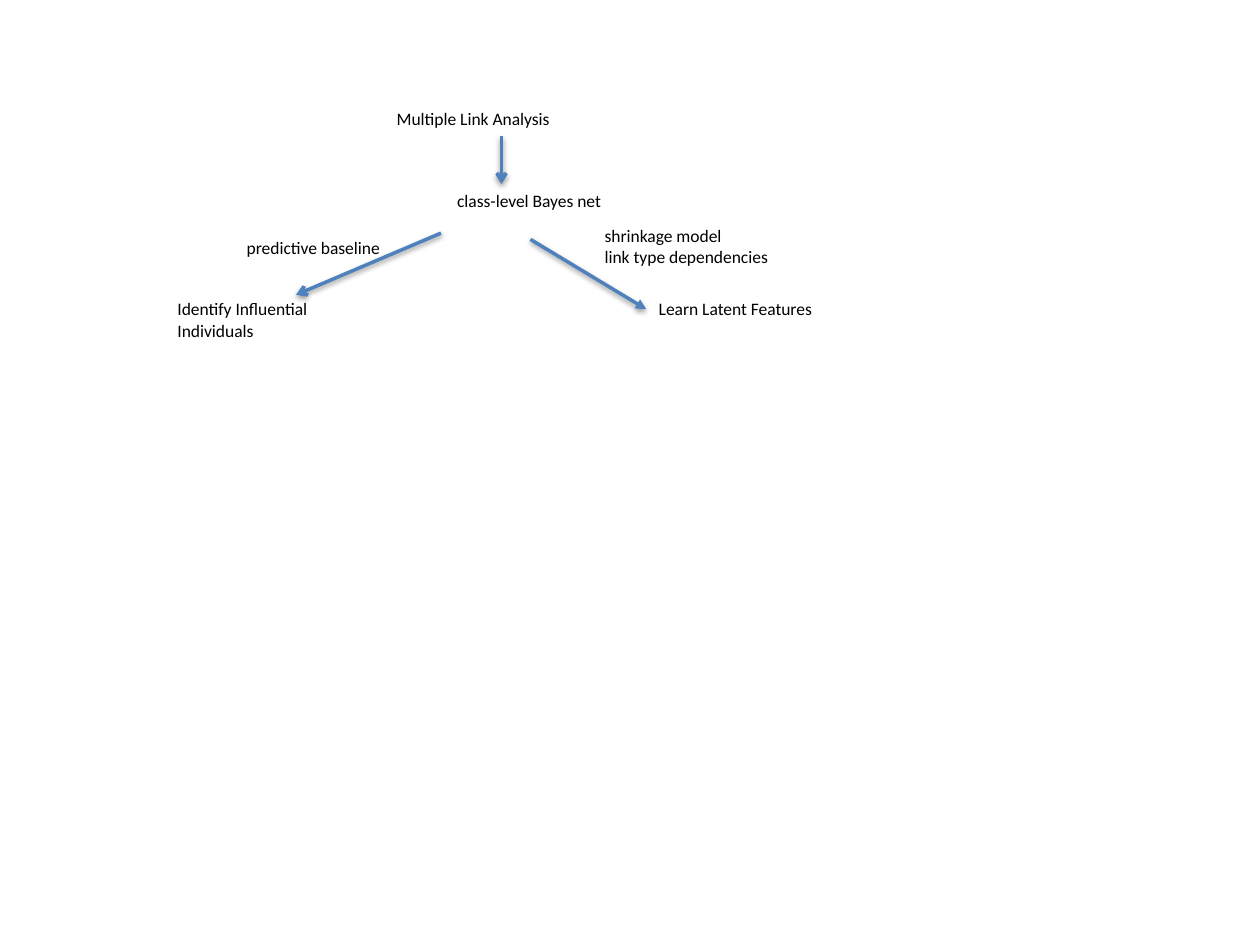
"""Build the slide that links multiple link analysis to its two applications."""
import dataclasses

import lxml.etree
import pptx
import pptx.dml.color
import pptx.enum.shapes
import pptx.enum.text
import pptx.oxml.ns
import pptx.util


@dataclasses.dataclass(frozen=True)
class Theme:
    font: str = "Calibri"
    size: float = 10
    ink: str = "000000"
    arrow: str = "4F81BD"
    arrow_width: float = 2
    shadow: str = "000000"


THEME = Theme()

LABELS = {
    "influence": ("Identify Influential Individuals", (1.31, 2.32, 1.73, 0.44)),
    "features": ("Learn Latent Features", (5.13, 2.32, 1.53, 0.27)),
    "bayes": ("class-level Bayes net", (3.53, 1.46, 1.36, 0.44)),
    "baseline": ("predictive baseline", (1.86, 1.83, 1.37, 0.27)),
    "shrinkage": ("shrinkage model\nlink type dependencies", (4.7, 1.74, 1.61, 0.44)),
    "analysis": ("Multiple Link Analysis", (3.05, 0.81, 2.3, 0.27)),
}

ARROWS = {
    "to features": ((5.13, 2.46), (4.2, 1.9), "headEnd", "triangle"),
    "to influence": ((3.5, 1.85), (2.35, 2.34), "tailEnd", "arrow"),
    "to bayes": ((3.98, 1.08), (3.98, 1.46), "tailEnd", "arrow"),
}

JOINS = {"to features": (("features", 1), ("bayes", 2))}


def add_label(page, text, *, place, size=THEME.size, color=THEME.ink):
    box = page.shapes.add_textbox(*map(pptx.util.Inches, place))
    frame = box.text_frame
    frame.word_wrap = True
    frame.auto_size = pptx.enum.text.MSO_AUTO_SIZE.SHAPE_TO_FIT_TEXT
    para = frame.paragraphs[0]
    para.text = text
    for span in para.runs:
        span.font.name = THEME.font
        span.font.size = pptx.util.Pt(size)
        span.font.color.rgb = pptx.dml.color.RGBColor.from_string(color)
    return box


def add_element(parent, tag, **attributes):
    return lxml.etree.SubElement(parent, pptx.oxml.ns.qn(tag), attributes)


def add_arrow(page, start, end, arrow_end, arrow_type):
    arrow = page.shapes.add_connector(
        pptx.enum.shapes.MSO_CONNECTOR.STRAIGHT, *map(pptx.util.Inches, start + end)
    )
    arrow.line.color.rgb = pptx.dml.color.RGBColor.from_string(THEME.arrow)
    arrow.line.width = pptx.util.Pt(THEME.arrow_width)
    properties = arrow.element.spPr
    outline = properties.find(pptx.oxml.ns.qn("a:ln"))
    add_element(outline, f"a:{arrow_end}", type=arrow_type)
    effects = add_element(properties, "a:effectLst")
    shadow = add_element(
        effects, "a:outerShdw", blurRad=str(pptx.util.Pt(3.1)),
        dist=str(pptx.util.Pt(1.6)), dir="5400000", rotWithShape="0",
    )
    color = add_element(shadow, "a:srgbClr", val=THEME.shadow)
    add_element(color, "a:alpha", val="38000")
    return arrow


def main():
    deck = pptx.Presentation()
    deck.slide_width, deck.slide_height = map(pptx.util.Inches, (10, 7.5))
    page = deck.slides.add_slide(deck.slide_layouts[6])
    boxes = {
        name: add_label(page, text, place=place)
        for name, (text, place) in LABELS.items()
    }
    arrows = {name: add_arrow(page, *route) for name, route in ARROWS.items()}
    for name, ((source, source_side), (target, target_side)) in JOINS.items():
        arrows[name].begin_connect(boxes[source], source_side)
        arrows[name].end_connect(boxes[target], target_side)
    deck.save("out.pptx")


if __name__ == "__main__":
    main()
